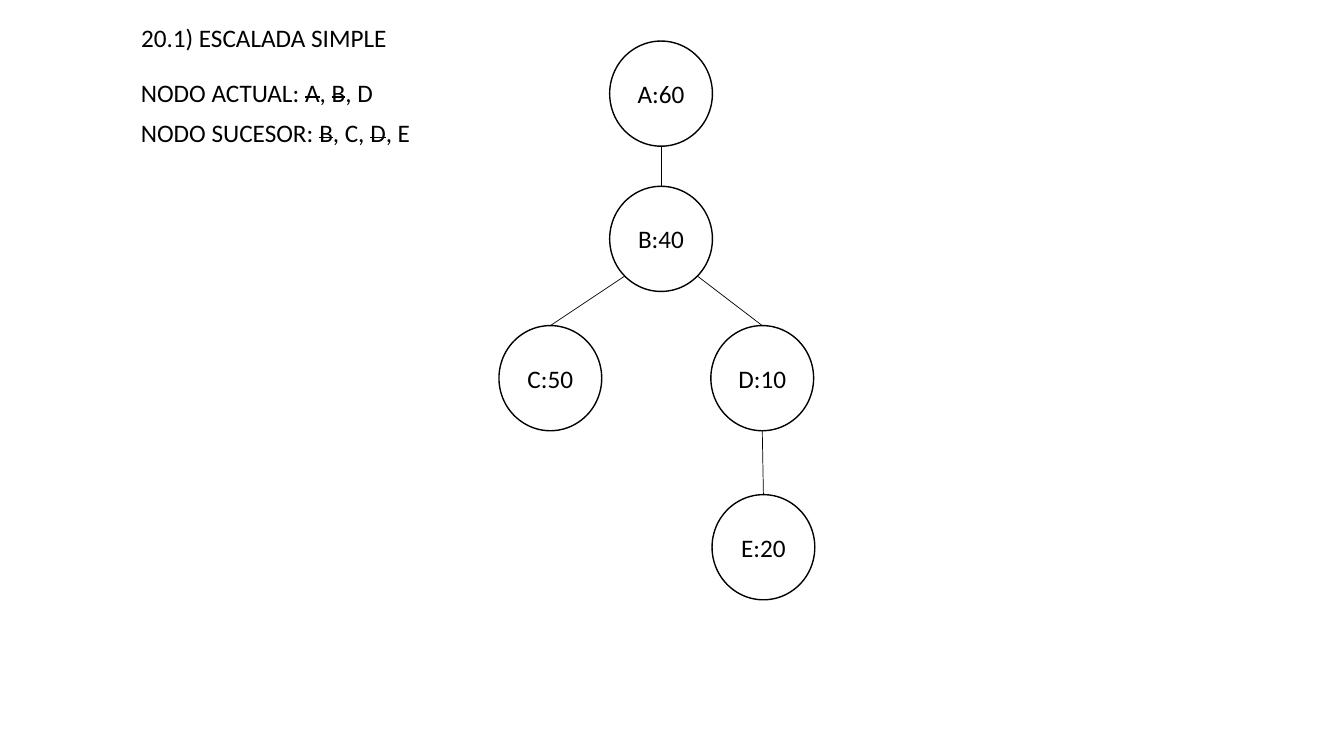
import math

import pptx
import pptx.dml.color
import pptx.enum.shapes
import pptx.enum.text
import pptx.oxml.ns
import pptx.util
from lxml import etree
from pptx.util import Cm

COLOURS = {"ink": "000000", "paper": "FFFFFF"}
NODE_WIDTH, NODE_HEIGHT = 2.59, 2.65
TOP, BOTTOM, LOWER_LEFT, LOWER_RIGHT = -90, 90, 135, 45
NODES = {
    "A:60": (16.66, 2.36),
    "B:40": (16.66, 6.02),
    "C:50": (13.87, 9.53),
    "D:10": (19.21, 9.53),
    "E:20": (19.24, 13.79),
}
BRANCHES = [
    ("A:60", BOTTOM, "B:40"),
    ("B:40", LOWER_LEFT, "C:50"),
    ("B:40", LOWER_RIGHT, "D:10"),
    ("D:10", BOTTOM, "E:20"),
]
NODE_LISTS = [
    ("NODO ACTUAL: ~A~, ~B~, D", 1.83, 6.58),
    ("NODO SUCESOR: ~B~, C, ~D~, E", 2.84, 7.49),
]


def colour(name):
    return pptx.dml.color.RGBColor.from_string(COLOURS[name])


def write(frame, text, size=18, font="Calibri", ink="ink", align="LEFT", anchor="TOP", wrap=True):
    frame.word_wrap = wrap
    frame.auto_size = pptx.enum.text.MSO_AUTO_SIZE.NONE
    frame.vertical_anchor = pptx.enum.text.MSO_ANCHOR[anchor]
    paragraph = frame.paragraphs[0]
    paragraph.alignment = pptx.enum.text.PP_ALIGN[align]
    for position, part in enumerate(text.split("~")):
        run = paragraph.add_run()
        run.text = part
        run.font.size = pptx.util.Pt(size)
        run.font.name = font
        run.font.color.rgb = colour(ink)
        if position % 2:
            run.font._element.set("strike", "sngStrike")


def add_heading(slide, text):
    heading = slide.shapes.title
    heading.left, heading.top = Cm(3.3), Cm(0.43)
    heading.width, heading.height = Cm(7.49), Cm(1.03)
    write(heading.text_frame, text)


def add_node_list(slide, text, top, width):
    node_list = slide.shapes.add_textbox(Cm(3.3), Cm(top), Cm(width), Cm(1.03))
    write(node_list.text_frame, text, wrap=False)


def add_node(slide, label, x, y):
    node = slide.shapes.add_shape(
        pptx.enum.shapes.MSO_SHAPE.OVAL,
        Cm(x - NODE_WIDTH / 2), Cm(y - NODE_HEIGHT / 2), Cm(NODE_WIDTH), Cm(NODE_HEIGHT))
    node.shadow.inherit = False
    node.fill.solid()
    node.fill.fore_color.rgb = colour("paper")
    node.line.color.rgb = colour("ink")
    node.line.width = pptx.util.Pt(1)
    write(node.text_frame, label, align="CENTER", anchor="MIDDLE")


def rim_point(label, degrees):
    x, y = NODES[label]
    angle = math.radians(degrees)
    return (Cm(x + NODE_WIDTH / 2 * math.cos(angle)),
            Cm(y + NODE_HEIGHT / 2 * math.sin(angle)))


def add_branch(slide, parent, exit_angle, child):
    branch = slide.shapes.add_connector(
        pptx.enum.shapes.MSO_CONNECTOR.STRAIGHT,
        *rim_point(parent, exit_angle), *rim_point(child, TOP))
    branch.line.color.rgb = colour("ink")
    branch.line.width = pptx.util.Pt(0.5)
    etree.SubElement(branch._element.spPr, pptx.oxml.ns.qn("a:effectLst"))


def main():
    deck = pptx.Presentation()
    deck.slide_width, deck.slide_height = Cm(33.87), Cm(19.05)
    slide = deck.slides.add_slide(deck.slide_layouts[5])
    add_heading(slide, "20.1) ESCALADA SIMPLE")
    for text, top, width in NODE_LISTS:
        add_node_list(slide, text, top, width)
    for label, (x, y) in NODES.items():
        add_node(slide, label, x, y)
    for parent, exit_angle, child in BRANCHES:
        add_branch(slide, parent, exit_angle, child)
    deck.save("out.pptx")


if __name__ == "__main__":
    main()
